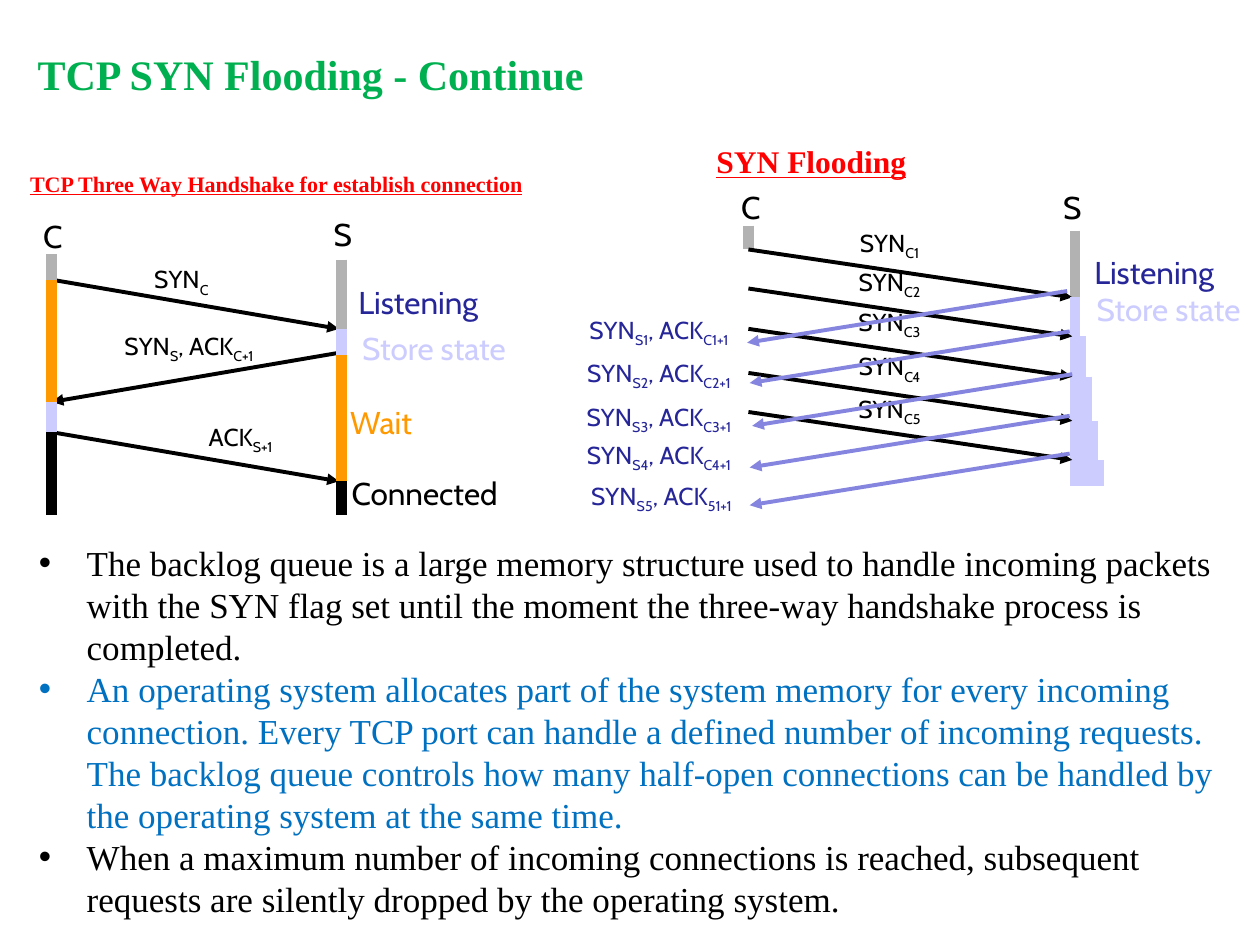
from lxml import etree
from pptx import Presentation, util as u
from pptx.dml import color
from pptx.enum import shapes, text
from pptx.oxml import ns

COLORS = {
    "black": "000000", "green": "00B050", "red": "FF0000", "blue": "0070C0",
    "navy": "262699", "orange": "FF9900", "lavender": "CCCCFF",
    "gray": "B2B2B2", "violet": "8585E0",
}
SERIF = {"name": "Times New Roman"}
STATE = {"name": "Cabin", "size": u.Pt(18)}
MESSAGE = {"name": "Cabin", "size": u.Pt(14)}
CENTER = text.PP_ALIGN.CENTER

presentation = Presentation()
presentation.slide_width = u.Inches(10)
presentation.slide_height = u.Inches(7.5)
slide = presentation.slides.add_slide(presentation.slide_layouts[6])


def add_line(start, end, tone, width=2.25, arrow=True):
    points = [u.Inches(value) for value in (*start, *end)]
    line = slide.shapes.add_connector(shapes.MSO_CONNECTOR.STRAIGHT, *points)
    line.line.width = u.Pt(width)
    line.line.color.rgb = color.RGBColor.from_string(COLORS[tone])
    if arrow:
        outline = line.line._get_or_add_ln()
        etree.SubElement(outline, ns.qn("a:tailEnd"), type="triangle")
    etree.SubElement(line._element.spPr, ns.qn("a:effectLst"))


def add_text(box, paragraphs, font, align=CENTER, wrap=False, middle=False, bullets=False):
    """Add (wording, colour) paragraphs; every second part between bars is a subscript."""
    shape = slide.shapes.add_textbox(*[u.Inches(value) for value in box])
    frame = shape.text_frame
    frame.word_wrap = wrap
    frame.vertical_anchor = text.MSO_ANCHOR.MIDDLE if middle else text.MSO_ANCHOR.TOP
    for index, (wording, tone) in enumerate(paragraphs):
        paragraph = frame.add_paragraph() if index else frame.paragraphs[0]
        paragraph.alignment = align
        if bullets:
            properties = paragraph._p.get_or_add_pPr()
            properties.set("marL", str(u.Inches(0.38)))
            properties.set("indent", str(u.Inches(-0.38)))
            etree.SubElement(properties, ns.qn("a:buFont"), typeface="Arial")
            etree.SubElement(properties, ns.qn("a:buChar"), char="•")
        for position, part in enumerate(wording.split("|")):
            if not part:
                continue
            run = paragraph.add_run()
            run.text = part
            for attribute, value in font.items():
                setattr(run.font, attribute, value)
            run.font.color.rgb = color.RGBColor.from_string(COLORS[tone])
            if position % 2:
                run._r.get_or_add_rPr().set("baseline", "-25000")


# Title and diagram headings
add_text((0.2, 0.25, 6.01, 0.67), [("TCP SYN Flooding - Continue", "green")],
         {**SERIF, "size": u.Pt(24), "bold": True}, text.PP_ALIGN.LEFT, True, True)
heading = {**SERIF, "bold": True, "underline": True}
add_text((0.14, 1.23, 4.33, 0.45),
         [("TCP Three Way Handshake for establish connection", "red")],
         {**heading, "size": u.Pt(12.6)}, text.PP_ALIGN.LEFT, True, True)
add_text((5.37, 1.04, 2.14, 0.48), [("SYN Flooding", "red")],
         {**heading, "size": u.Pt(18)}, CENTER, True, True)

# Three-way handshake: messages, then the timelines of client and server
client_x, server_x = 0.41, 2.71
for start, end in [
    ((client_x, 2.22), (2.69, 2.61)),
    ((client_x, 3.43), (2.69, 3.82)),
    ((2.69, 2.8), (client_x, 3.19)),
]:
    add_line(start, end, "black")

for box, wording in [
    ((1.12, 2.05, 0.64, 0.37), "SYN|C"),
    ((0.85, 2.58, 1.3, 0.37), "SYN|S|, ACK|C+1"),
    ((1.53, 3.3, 0.76, 0.37), "ACK|S+1"),
]:
    add_text(box, [(wording, "black")], MESSAGE)

for x, top, bottom, tone in [
    (server_x, 2.8, 3.82, "orange"),
    (server_x, 3.82, 4.09, "black"),
    (client_x, 2.22, 3.19, "orange"),
    (client_x, 3.43, 4.09, "black"),
    (client_x, 3.19, 3.43, "lavender"),
    (server_x, 2.06, 2.61, "gray"),
    (client_x, 2.02, 2.22, "gray"),
    (server_x, 2.61, 2.82, "lavender"),
]:
    add_line((x, top), (x, bottom), tone, 6, False)

# Hosts and states of both diagrams
for box, wording, tone in [
    ((0.24, 1.67, 0.36, 0.4), "C", "black"),
    ((2.55, 1.66, 0.34, 0.4), "S", "black"),
    ((2.69, 2.2, 1.26, 0.4), "Listening", "navy"),
    ((2.71, 2.56, 1.47, 0.4), "Store state", "lavender"),
    ((2.66, 3.15, 0.73, 0.4), "Wait", "orange"),
    ((2.64, 3.71, 1.46, 0.4), "Connected", "black"),
    ((5.78, 1.44, 0.36, 0.4), "C", "black"),
    ((8.34, 1.44, 0.34, 0.4), "S", "black"),
    ((8.44, 1.96, 1.44, 0.4), "Listening", "navy"),
    ((8.54, 2.25, 1.47, 0.4), "Store state", "lavender"),
]:
    add_text(box, [(wording, tone)], STATE)

# SYN flood: each request adds one more stored state
flood_x, store_x = 5.94, 8.53
add_line((store_x, 1.83), (store_x, 2.36), "gray", 6, False)
add_line((flood_x, 1.79), (flood_x, 1.98), "gray", 6, False)
requests = [(1.98, 1.76), (2.29, 2.07), (2.61, 2.39), (2.96, 2.74), (3.27, 3.08)]
for index, (top, label_top) in enumerate(requests):
    arrival = top + 0.38
    bar_x = store_x + 0.048 * index
    add_line((flood_x, top), (8.51, arrival), "black")
    add_text((6.71, label_top, 0.7, 0.37), [(f"SYN|C{index + 1}", "black")], MESSAGE)
    add_line((bar_x, arrival), (bar_x, 3.86), "lavender", 6, False)

# Explanation
add_text((0.21, 4.25, 9.71, 3.1), [
    ("The backlog queue is a large memory structure used to handle incoming packets "
     "with the SYN flag set until the moment the three-way handshake process is "
     "completed.", "black"),
    ("An operating system allocates part of the system memory for every incoming "
     "connection. Every TCP port can handle a defined number of incoming requests. "
     "The backlog queue controls how many half-open connections can be handled by "
     "the operating system at the same time.", "blue"),
    ("When a maximum number of incoming connections is reached, subsequent "
     "requests are silently dropped by the operating system.", "black"),
], {**SERIF, "size": u.Pt(20)}, text.PP_ALIGN.LEFT, True, bullets=True)

# Server replies
for x, top in [(8.47, 2.31), (8.49, 2.63), (8.51, 2.97), (8.49, 3.3), (8.49, 3.6)]:
    add_line((x, top), (x - 2.54, top + 0.41), "violet")

for left, top, wording in [
    (4.31, 2.45, "SYN|S1|, ACK|C1+1"),
    (4.31, 2.79, "SYN|S2|, ACK|C2+1"),
    (4.31, 3.14, "SYN|S3|, ACK|C3+1"),
    (4.31, 3.44, "SYN|S4|, ACK|C4+1"),
    (4.33, 3.77, "SYN|S5|, ACK|51+1"),
]:
    add_text((left, top, 1.84, 0.37), [(wording, "navy")], MESSAGE, wrap=True)

presentation.save("out.pptx")
